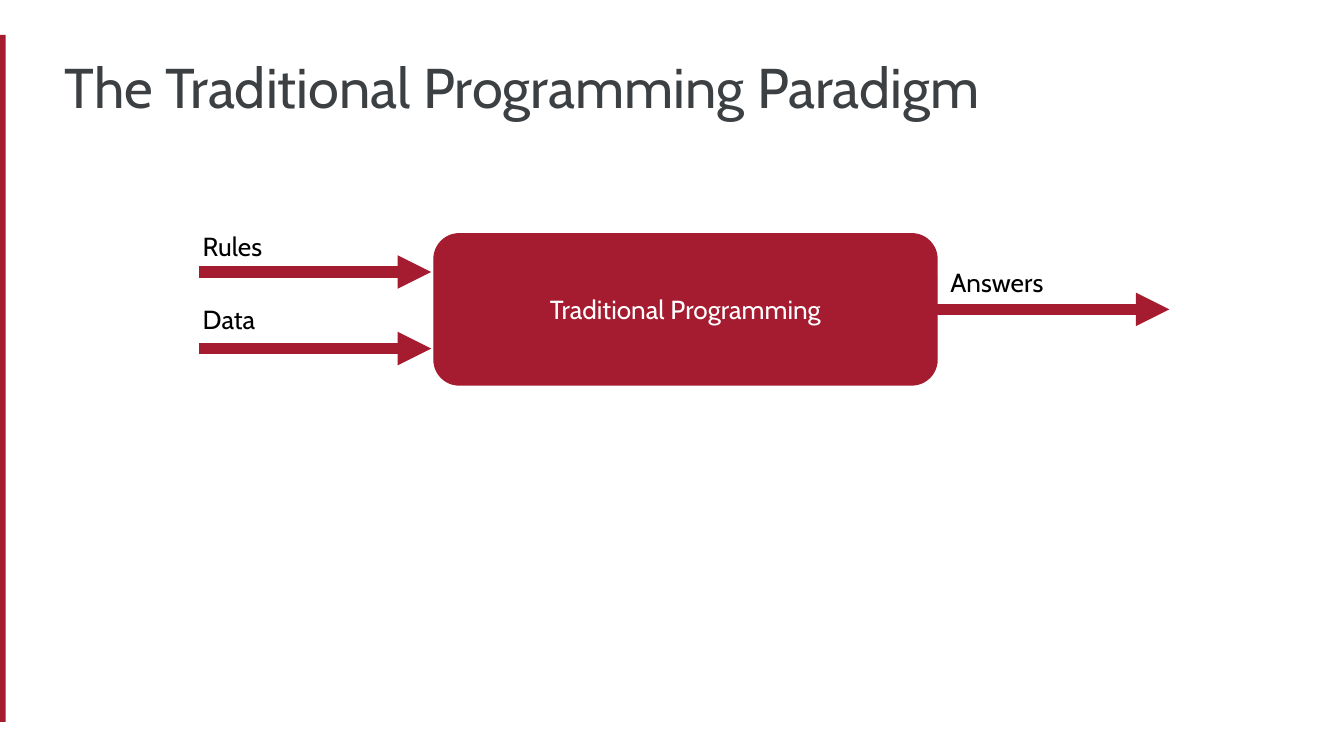
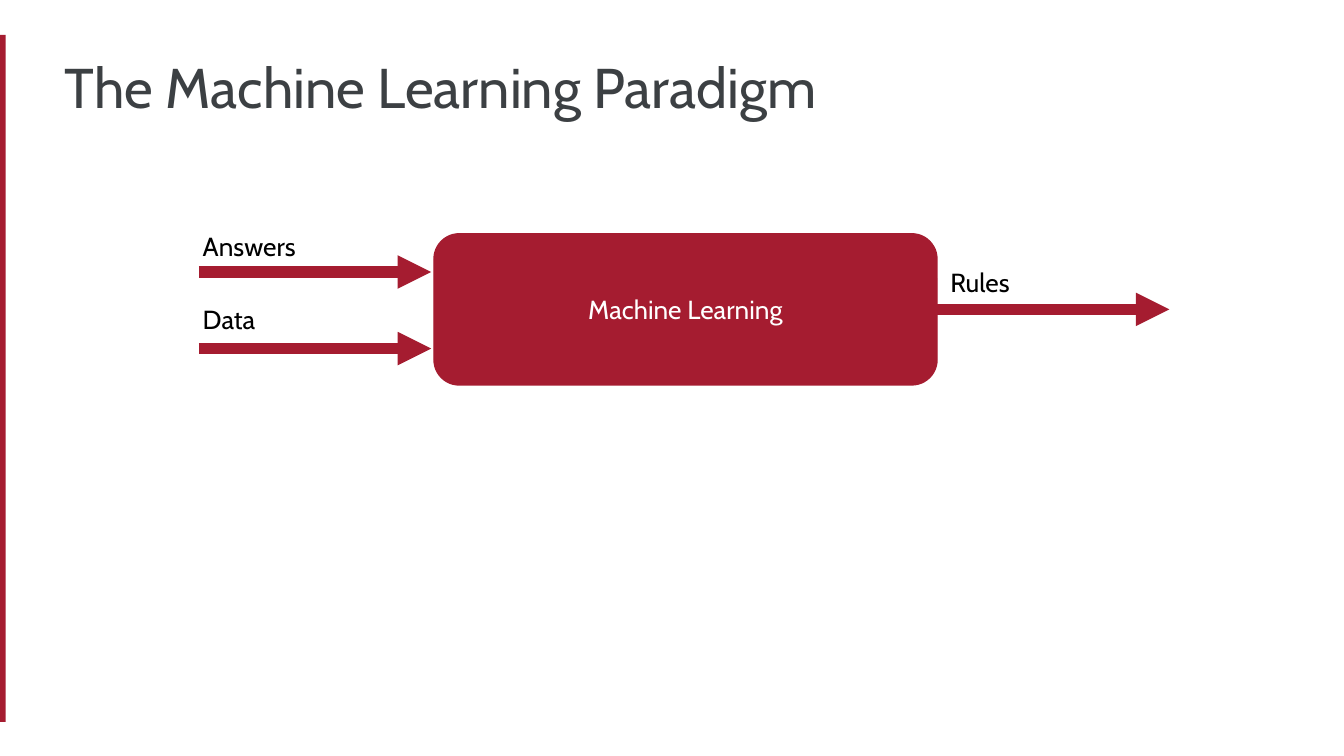
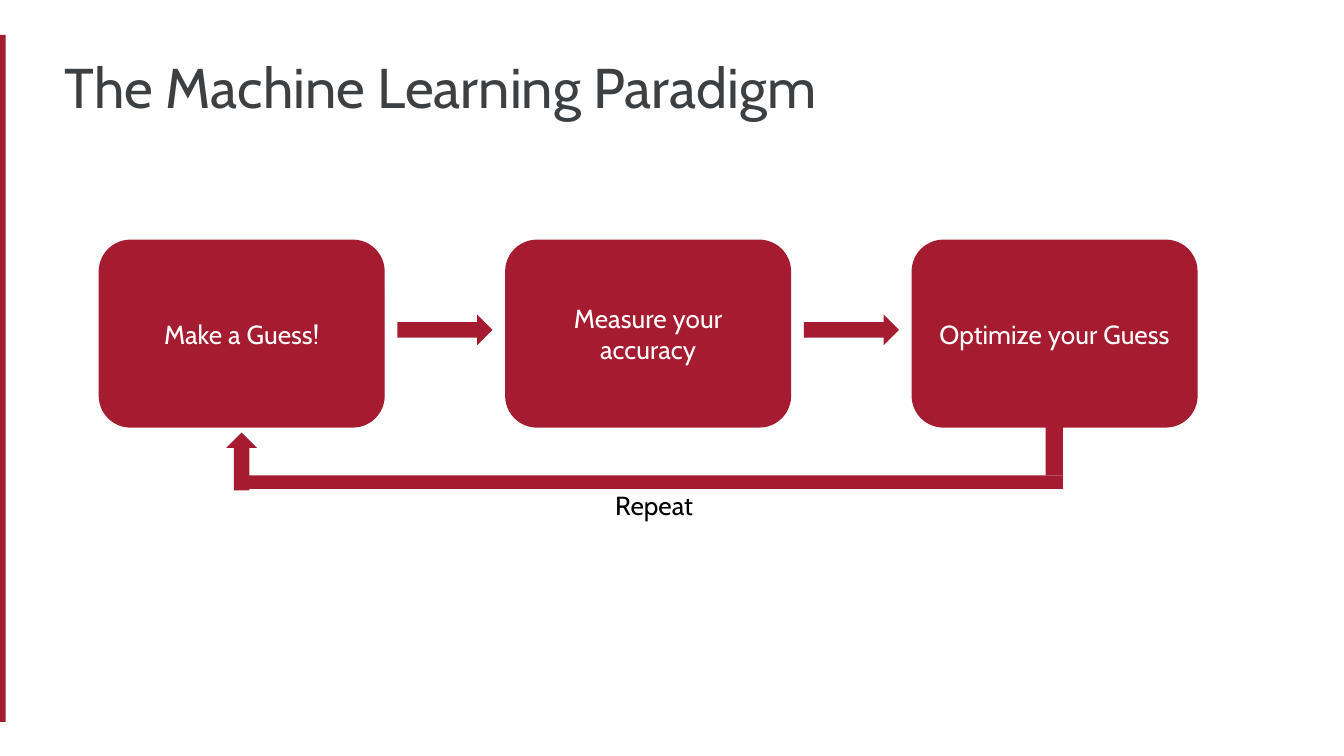
"""Build three slides that contrast traditional programming with machine learning."""
from dataclasses import dataclass

from lxml.etree import SubElement
from pptx import Presentation
from pptx.dml.color import RGBColor
from pptx.enum.shapes import MSO_CONNECTOR, MSO_SHAPE
from pptx.enum.text import MSO_ANCHOR, MSO_AUTO_SIZE, PP_ALIGN
from pptx.oxml.ns import qn
from pptx.presentation import Presentation as Deck
from pptx.shapes.autoshape import Shape
from pptx.shapes.connector import Connector
from pptx.slide import Slide
from pptx.text.text import TextFrame
from pptx.util import Pt


@dataclass(frozen=True)
class Theme:
    """Colours, font and sizes shared by all slides."""

    crimson: RGBColor = RGBColor(0xA5, 0x1C, 0x30)
    title_grey: RGBColor = RGBColor(0x3C, 0x40, 0x43)
    black: RGBColor = RGBColor(0, 0, 0)
    white: RGBColor = RGBColor(0xFF, 0xFF, 0xFF)
    font: str = "Cabin"
    title_size: float = 30
    body_size: float = 14
    inset: float = 7.2
    outline: float = 0.75
    arrow_weight: float = 6
    corner: float = 0.167


@dataclass(frozen=True)
class Area:
    """A rectangle in points."""

    left: float
    top: float
    width: float
    height: float

    @property
    def right(self) -> float:
        """Return the right edge."""
        return self.left + self.width

    @property
    def bottom(self) -> float:
        """Return the bottom edge."""
        return self.top + self.height

    @property
    def center(self) -> float:
        """Return the horizontal centre."""
        return self.left + self.width / 2

    @property
    def middle(self) -> float:
        """Return the vertical centre."""
        return self.top + self.height / 2

    def lengths(self) -> tuple[Pt, Pt, Pt, Pt]:
        """Return left, top, width and height as lengths."""
        return Pt(self.left), Pt(self.top), Pt(self.width), Pt(self.height)


@dataclass(frozen=True)
class Paradigm:
    """Two inputs, a process and its output."""

    title: str
    inputs: tuple[str, str]
    process: str
    output: str


THEME = Theme()
SIDE_BAND = Area(-1.5, 18.75, 4.5, 368)
TITLE = Area(27.5, 21, 614, 32.5)
PROCESS = Area(232.5, 125.25, 269.5, 81)
INPUT_TOPS = (116, 155.5)
INPUT_LEVELS = (145.75, 186.75)
INPUT_LEFT = 106.5
LABEL_SIZE = (73, 31)
LABEL_INDENT = 5
FLOW_LENGTH = 124.5
FIRST_STEP = Area(53.25, 128.75, 152.5, 100)
STEP_PITCH = 217.75
STEP_ARROW = (51, 16.5)
STEP_ARROW_LEVEL = 176.75
RETURN_ARROW = (31, 16.5)
RETURN_BAR = Area(126, 254.75, 443.5, 7.25)
RISER_WIDTH = 9.25

PARADIGMS = (
    Paradigm("The Traditional Programming Paradigm", ("Rules", "Data"),
             "Traditional Programming", "Answers"),
    Paradigm("The Machine Learning Paradigm", ("Answers", "Data"),
             "Machine Learning", "Rules"),
)
STEPS = ("Make a Guess!", "Measure your accuracy", "Optimize your Guess")


def write_text(text_frame: TextFrame, text: str, size: float, color: RGBColor) -> None:
    """Set the text with its font, wrapping and insets."""
    text_frame.text = text
    text_frame.word_wrap = True
    text_frame.margin_left = text_frame.margin_right = Pt(THEME.inset)
    text_frame.margin_top = text_frame.margin_bottom = Pt(THEME.inset)
    font = text_frame.paragraphs[0].runs[0].font
    font.name = THEME.font
    font.size = Pt(size)
    font.color.rgb = color


def add_solid(slide: Slide, kind: MSO_SHAPE, area: Area) -> Shape:
    """Add a flat crimson shape without outline."""
    shape = slide.shapes.add_shape(kind, *area.lengths())
    shape.shadow.inherit = False
    shape.fill.solid()
    shape.fill.fore_color.rgb = THEME.crimson
    shape.line.fill.background()
    return shape


def add_box(slide: Slide, area: Area, text: str) -> Shape:
    """Add a rounded box with centred white text."""
    box = add_solid(slide, MSO_SHAPE.ROUNDED_RECTANGLE, area)
    box.adjustments[0] = THEME.corner
    box.line.color.rgb = THEME.crimson
    box.line.width = Pt(THEME.outline)
    write_text(box.text_frame, text, THEME.body_size, THEME.white)
    box.text_frame.vertical_anchor = MSO_ANCHOR.MIDDLE
    box.text_frame.paragraphs[0].alignment = PP_ALIGN.CENTER
    return box


def add_label(slide: Slide, left: float, top: float, text: str) -> None:
    """Add a black label that grows with its text."""
    label = slide.shapes.add_textbox(*Area(left, top, *LABEL_SIZE).lengths())
    write_text(label.text_frame, text, THEME.body_size, THEME.black)
    label.text_frame.auto_size = MSO_AUTO_SIZE.SHAPE_TO_FIT_TEXT


def add_flow(slide: Slide, left: float, level: float) -> Connector:
    """Add a horizontal line with an arrowhead on its right."""
    flow = slide.shapes.add_connector(
        MSO_CONNECTOR.STRAIGHT, Pt(left), Pt(level), Pt(left + FLOW_LENGTH), Pt(level))
    flow.line.color.rgb = THEME.crimson
    flow.line.width = Pt(THEME.arrow_weight)
    SubElement(flow.line._get_or_add_ln(), qn("a:tailEnd"), type="triangle")
    SubElement(flow._element.spPr, qn("a:effectLst"))
    return flow


def add_titled_slide(presentation: Deck, title: str) -> Slide:
    """Add a blank slide with the side band and a title."""
    slide = presentation.slides.add_slide(presentation.slide_layouts[6])
    add_solid(slide, MSO_SHAPE.RECTANGLE, SIDE_BAND)
    title_box = slide.shapes.add_textbox(*TITLE.lengths())
    write_text(title_box.text_frame, title, THEME.title_size, THEME.title_grey)
    return slide


def add_paradigm_slide(presentation: Deck, paradigm: Paradigm) -> None:
    """Show inputs flowing into a process and its output."""
    slide = add_titled_slide(presentation, paradigm.title)
    process = add_box(slide, PROCESS, paradigm.process)
    for text, top, level in zip(paradigm.inputs, INPUT_TOPS, INPUT_LEVELS):
        add_flow(slide, INPUT_LEFT, level)
        add_label(slide, INPUT_LEFT - LABEL_INDENT, top, text)
    output = add_flow(slide, PROCESS.right, PROCESS.middle)
    output.begin_connect(process, 3)
    add_label(slide, PROCESS.right, PROCESS.middle - LABEL_SIZE[1] + 0.75, paradigm.output)


def add_loop_slide(presentation: Deck, title: str) -> None:
    """Show the learning steps and the path back to the first."""
    slide = add_titled_slide(presentation, title)
    for index, text in enumerate(STEPS):
        step = Area(FIRST_STEP.left + index * STEP_PITCH, FIRST_STEP.top,
                    FIRST_STEP.width, FIRST_STEP.height)
        add_box(slide, step, text)
        if index < len(STEPS) - 1:
            width, height = STEP_ARROW
            gap = STEP_PITCH - step.width
            add_solid(slide, MSO_SHAPE.RIGHT_ARROW,
                      Area(step.right + (gap - width) / 2,
                           STEP_ARROW_LEVEL - height / 2, width, height))

    width, height = RETURN_ARROW
    return_arrow = add_solid(
        slide, MSO_SHAPE.RIGHT_ARROW,
        Area(FIRST_STEP.center - width / 2, 239, width, height))
    return_arrow.rotation = 270
    add_solid(slide, MSO_SHAPE.RECTANGLE, RETURN_BAR)
    add_solid(slide, MSO_SHAPE.RECTANGLE,
              Area(RETURN_BAR.right - RISER_WIDTH, FIRST_STEP.bottom,
                   RISER_WIDTH, RETURN_BAR.top - FIRST_STEP.bottom))
    add_label(slide, 322.5, RETURN_BAR.top, "Repeat")


def main() -> None:
    """Build and save the presentation."""
    presentation = Presentation()
    presentation.slide_width = Pt(720)
    presentation.slide_height = Pt(405)
    for paradigm in PARADIGMS:
        add_paradigm_slide(presentation, paradigm)
    add_loop_slide(presentation, PARADIGMS[-1].title)
    presentation.save("out.pptx")


if __name__ == "__main__":
    main()
